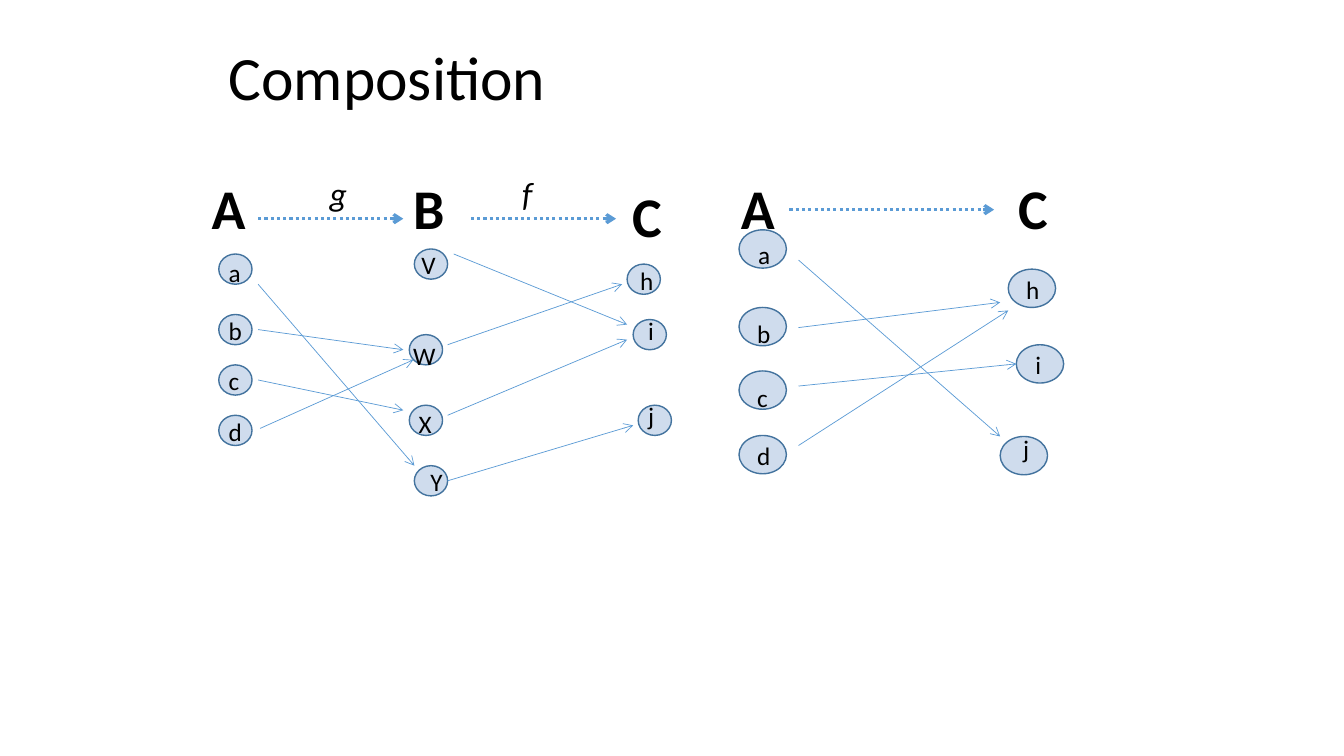
from lxml import etree
from pptx import Presentation
from pptx.dml.color import RGBColor
from pptx.enum.dml import MSO_LINE
from pptx.enum.shapes import MSO_CONNECTOR, MSO_SHAPE
from pptx.enum.text import MSO_ANCHOR, MSO_AUTO_SIZE
from pptx.oxml.ns import qn
from pptx.util import Inches, Pt

NODE = MSO_SHAPE.FLOWCHART_CONNECTOR
STRAIGHT = MSO_CONNECTOR.STRAIGHT
DOTTED = MSO_LINE.ROUND_DOT
MIDDLE, TOP = MSO_ANCHOR.MIDDLE, MSO_ANCHOR.TOP
GROW, FIXED = MSO_AUTO_SIZE.SHAPE_TO_FIT_TEXT, MSO_AUTO_SIZE.NONE
FONT = "Calibri"
BLACK, NODE_FILL, NODE_LINE, ARROW = "000000", "4F81BD", "43739E", "5B9BD5"

# Each node: letter, node left and top, label left, top and width.
COMPOSED_STEPS = {
    "node_size": (0.33, 0.3),
    "sets": [("A", 0, 0, 0.75), ("B", 2, 0, 0.75), ("C", 4.17, 0.08, 0.75)],
    "functions": [("g", 1.17, 0, 0.39), ("f", 3.08, 0, 0.39)],
    "nodes": [
        ("a", 0.17, 0.85, 0.17, 0.83, 0.22),
        ("b", 0.17, 1.45, 0.17, 1.41, 0.22),
        ("c", 0.17, 1.95, 0.17, 1.91, 0.22),
        ("d", 0.17, 2.45, 0.17, 2.41, 0.22),
        ("V", 2.11, 0.8, 2.08, 0.75, 0.25),
        ("W", 2.06, 1.65, 2, 1.66, 0.22),
        ("X", 2.06, 2.35, 2.11, 2.33, 0.14),
        ("Y", 2.11, 2.95, 2.17, 2.91, 0.22),
        ("h", 4.22, 0.95, 4.25, 0.91, 0.22),
        ("i", 4.28, 1.5, 4.33, 1.41, 0.22),
        ("j", 4.33, 2.35, 4.33, 2.25, 0.25),
    ],
    "set_arrows": [(0.56, 0.5, 2, 0.5), (2.67, 0.5, 4.11, 0.5)],
    "element_arrows": [
        (0.56, 1.15, 2.11, 2.95),
        (0.56, 1.6, 2, 1.8),
        (0.56, 2.1, 2, 2.4),
        (0.58, 2.58, 2.1, 1.9),
        (2.5, 0.85, 4.22, 1.55),
        (2.44, 1.75, 4.17, 1.15),
        (2.44, 2.45, 4.22, 1.7),
        (2.44, 3.1, 4.28, 2.55),
    ],
}
COMPOSED_RESULT = {
    "node_size": (0.47, 0.38),
    "sets": [("A", 0, 0, 0.7), ("C", 2.75, 0, 0.7)],
    "functions": [],
    "nodes": [
        ("a", 0.08, 0.61, 0.17, 0.66, 0.31),
        ("b", 0.08, 1.38, 0.16, 1.44, 0.31),
        ("c", 0.08, 2.01, 0.16, 2.07, 0.31),
        ("d", 0.08, 2.65, 0.16, 2.65, 0.31),
        ("h", 2.75, 1, 2.83, 1, 0.31),
        ("i", 2.83, 1.75, 2.92, 1.75, 0.31),
        ("j", 2.67, 2.66, 2.8, 2.58, 0.31),
    ],
    "set_arrows": [(0.58, 0.41, 2.61, 0.41)],
    "element_arrows": [
        (0.67, 0.91, 2.67, 2.66),
        (0.67, 1.58, 2.67, 1.33),
        (0.67, 2.16, 2.83, 1.94),
        (0.67, 2.75, 2.75, 1.41),
    ],
}


def rgb(value):
    """Turn a hex string into a colour."""
    return RGBColor.from_string(value)


def add_text(shapes, text, x, y, w, h, size=18, bold=False, italic=False,
             anchor=TOP, fit=GROW, spacing=None):
    """Add a one-line text box."""
    tf = shapes.add_textbox(Inches(x), Inches(y), Inches(w), Inches(h)).text_frame
    tf.word_wrap = True
    tf.auto_size = fit
    tf.vertical_anchor = anchor
    p = tf.paragraphs[0]
    p.line_spacing = spacing
    r = p.add_run()
    r.text = text
    r.font.name = FONT
    r.font.size = Pt(size)
    r.font.bold = bold
    r.font.italic = italic
    r.font.color.rgb = rgb(BLACK)


def add_node(shapes, x, y, w, h):
    """Add a translucent oval for one element of a set."""
    sp = shapes.add_shape(NODE, Inches(x), Inches(y), Inches(w), Inches(h))
    sp.shadow.inherit = False
    sp.fill.solid()
    sp.fill.fore_color.rgb = rgb(NODE_FILL)
    color = sp._element.spPr.find(qn("a:solidFill"))[0]
    etree.SubElement(color, qn("a:alpha"), val="27000")
    sp.line.color.rgb = rgb(NODE_LINE)
    sp.line.width = Pt(1)


def add_arrow(shapes, x1, y1, x2, y2, width=0.5, dash=None):
    """Add a straight arrow with an open head."""
    c = shapes.add_connector(STRAIGHT, Inches(x1), Inches(y1), Inches(x2), Inches(y2))
    c.line.color.rgb = rgb(ARROW)
    c.line.width = Pt(width)
    if dash:
        c.line.dash_style = dash
    etree.SubElement(c.line._get_or_add_ln(), qn("a:tailEnd"), type="arrow")
    etree.SubElement(c._element.spPr, qn("a:effectLst"))


def add_title(shapes, x, y, w, h):
    """Add the slide title."""
    add_text(shapes, "Composition", x, y, w, h, size=44, anchor=MIDDLE,
             fit=FIXED, spacing=0.9)


def add_mapping(shapes, x, y, mapping):
    """Draw sets, their elements and the arrows between them from a corner."""
    for name, dx, dy, w in mapping["sets"]:
        add_text(shapes, name, x + dx, y + dy, w, 0.77, size=40, bold=True)
    for name, dx, dy, w in mapping["functions"]:
        add_text(shapes, name, x + dx, y + dy, w, 0.5, size=24, italic=True)
    for letter, dx, dy, label_dx, label_dy, w in mapping["nodes"]:
        add_node(shapes, x + dx, y + dy, *mapping["node_size"])
        add_text(shapes, letter, x + label_dx, y + label_dy, w, 0.4)
    for x1, y1, x2, y2 in mapping["set_arrows"]:
        add_arrow(shapes, x + x1, y + y1, x + x2, y + y2, width=2.25, dash=DOTTED)
    for x1, y1, x2, y2 in mapping["element_arrows"]:
        add_arrow(shapes, x + x1, y + y1, x + x2, y + y2)


def main():
    """Build the slide and save it."""
    prs = Presentation()
    prs.slide_width, prs.slide_height = Inches(13.33), Inches(7.5)
    s = prs.slides.add_slide(prs.slide_layouts[6])
    add_title(s.shapes, 2.17, 0.17, 9, 1.25)
    add_mapping(s.shapes, 7.25, 1.67, COMPOSED_RESULT)
    add_mapping(s.shapes.add_group_shape().shapes, 2, 1.67, COMPOSED_STEPS)
    prs.save("out.pptx")


if __name__ == "__main__":
    main()
